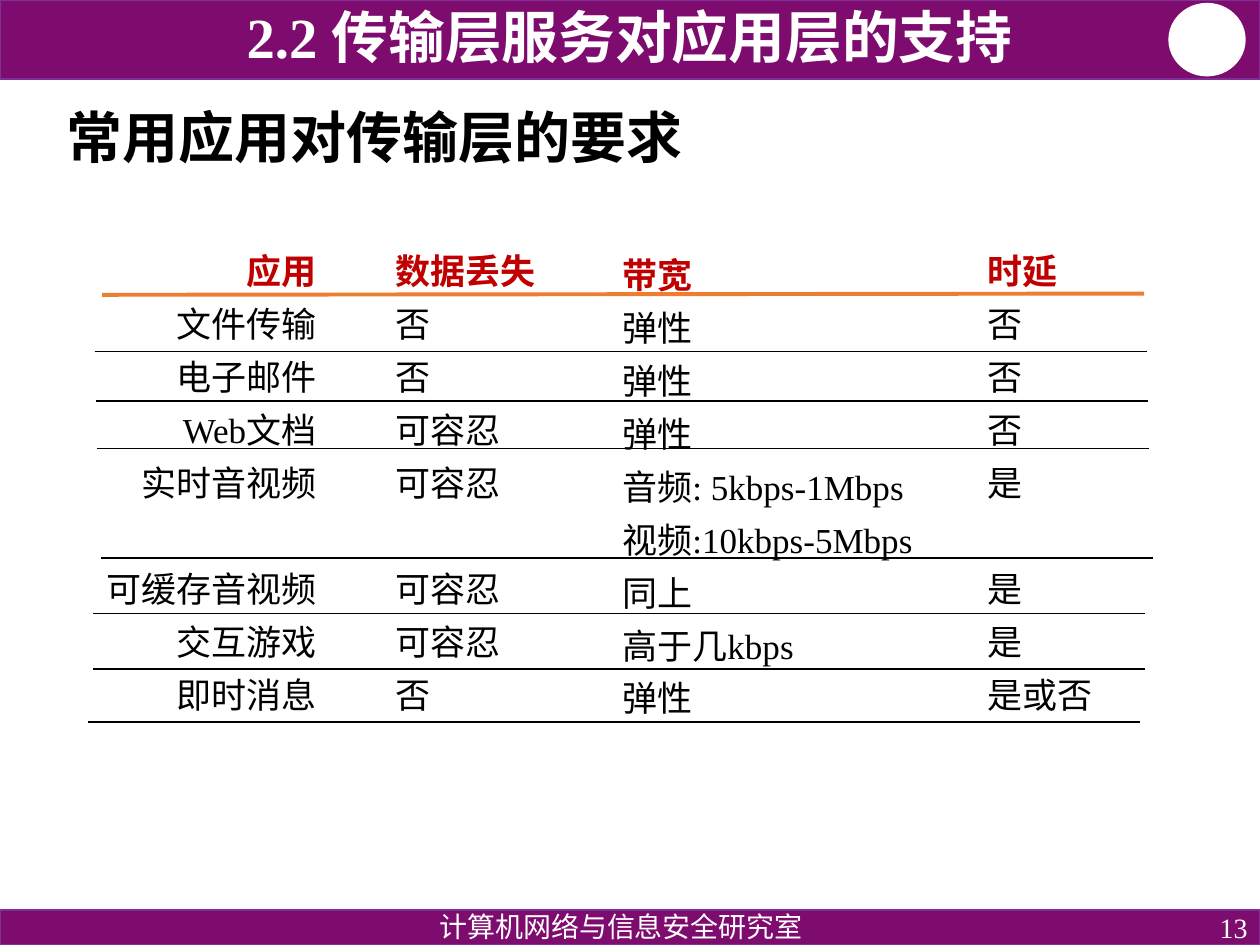
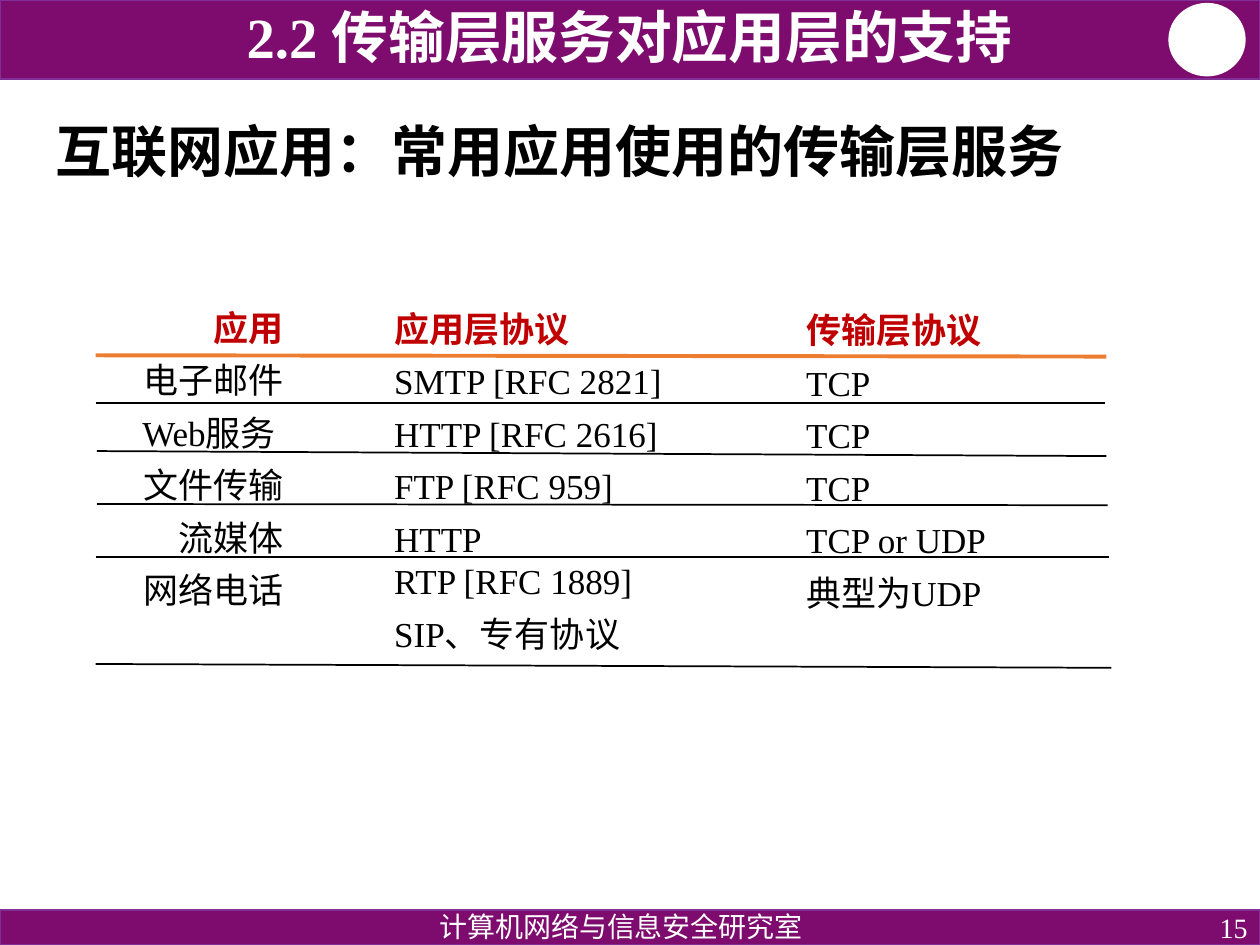
import pptx
import pptx.util
import pptx.dml.color
import pptx.enum.shapes
import pptx.enum.text
import pptx.oxml
import pptx.oxml.ns

Inches = pptx.util.Inches
Pt = pptx.util.Pt
RGB = pptx.dml.color.RGBColor
ALIGN = pptx.enum.text.PP_ALIGN
ANCHOR = pptx.enum.text.MSO_ANCHOR
SHAPE = pptx.enum.shapes.MSO_SHAPE
qn = pptx.oxml.ns.qn

PURPLE = RGB(0x7E, 0x0C, 0x6E)
VIOLET = RGB(0x7F, 0x2F, 0x95)
RED = RGB(0xC0, 0x00, 0x00)
ORANGE = RGB(0xED, 0x7D, 0x31)
BLACK = RGB(0x00, 0x00, 0x00)
WHITE = RGB(0xFF, 0xFF, 0xFF)

CJK = "Noto Sans CJK SC"
SERIF = "Times New Roman"
SANS = "Arial"

CHAPTER = "2.2 传输层服务对应用层的支持"
LAB = "计算机网络与信息安全研究室"
ROW_PITCH = 30.3


class Deck:
    def __init__(self):
        self.prs = pptx.Presentation()
        self.prs.slide_width = Inches(10)
        self.prs.slide_height = Inches(7.5)
        self.s = None

    def new_slide(self, number, title, title_box):
        self.s = self.prs.slides.add_slide(self.prs.slide_layouts[5])
        self.shape(SHAPE.RECTANGLE, (0, 0, 10, 0.63), PURPLE, VIOLET)
        self.shape(SHAPE.OVAL, (9.28, 0.03, 0.6, 0.57), WHITE, WHITE)
        self.shape(SHAPE.RECTANGLE, (0, 7.22, 10, 0.28), PURPLE, VIOLET)
        self.text((7.75, 7.22, 2.25, 0.28), str(number), 16, ALIGN.RIGHT, ANCHOR.MIDDLE)
        self.text((2.69, 7.2, 4.48, 0.28), LAB, 16, ALIGN.CENTER, ANCHOR.TOP, spacing=0.9)
        self.text((0.72, 0.04, 8.55, 0.56), CHAPTER, 32.4, ALIGN.CENTER, ANCHOR.BOTTOM,
                  spacing=0.8, bold=True)
        self.title(title, title_box)

    def style(self, p, font, size, color, bold=False):
        f = p.font
        f.name, f.size, f.bold = font, Pt(size), bold
        f.color.rgb = color
        latin = p._p.pPr.find(qn("a:defRPr")).find(qn("a:latin"))
        ea = pptx.oxml.parse_xml(
            f'<a:ea xmlns:a="{pptx.oxml.ns.nsuri("a")}" typeface="{CJK}"/>')
        latin.addnext(ea)

    def shape(self, kind, box, fill, line):
        sp = self.s.shapes.add_shape(kind, *map(Inches, box))
        sp.shadow.inherit = False
        sp.fill.solid()
        sp.fill.fore_color.rgb = fill
        sp.line.color.rgb = line
        sp.line.width = Pt(1)

    def text(self, box, text, size, align, anchor, spacing=1.0, bold=False):
        tf = self.s.shapes.add_textbox(*map(Inches, box)).text_frame
        tf.word_wrap = True
        tf.vertical_anchor = anchor
        p = tf.paragraphs[0]
        p.text = text
        p.alignment = align
        p.line_spacing = spacing
        self.style(p, SERIF, size, WHITE, bold)

    def title(self, text, box):
        sp = self.s.shapes.title
        sp.left, sp.top, sp.width, sp.height = map(Inches, box)
        tf = sp.text_frame
        tf.text = text
        tf.auto_size = pptx.enum.text.MSO_AUTO_SIZE.NONE
        tf.vertical_anchor = ANCHOR.MIDDLE
        p = tf.paragraphs[0]
        p.alignment = ALIGN.LEFT
        p.line_spacing = 0.9
        self.style(p, CJK, 32, BLACK, True)

    def column(self, box, rows, font=SERIF, align=ALIGN.LEFT, spacing=1.0, wrap=True,
               skip_before=None):
        tf = self.s.shapes.add_textbox(*map(Inches, box)).text_frame
        tf.word_wrap = wrap
        tf.auto_size = pptx.enum.text.MSO_AUTO_SIZE.SHAPE_TO_FIT_TEXT
        for i, row in enumerate(rows):
            p = tf.add_paragraph() if i else tf.paragraphs[0]
            p.text = row
            p.alignment = align
            p.line_spacing = spacing
            p.space_before = Pt(6 + (ROW_PITCH if i == skip_before else 0))
            if i:
                self.style(p, font, 20, BLACK)
            else:
                self.style(p, CJK, 20, RED, True)

    def rule(self, x1, y1, x2, y2, color=BLACK, width=1):
        c = self.s.shapes.add_connector(
            pptx.enum.shapes.MSO_CONNECTOR.STRAIGHT, *map(Inches, (x1, y1, x2, y2)))
        c.line.color.rgb = color
        c.line.width = Pt(width)
        c._element.spPr.append(pptx.oxml.parse_xml(
            f'<a:effectLst xmlns:a="{pptx.oxml.ns.nsuri("a")}"/>'))

    def rules(self, header, rows):
        self.rule(*header, color=ORANGE, width=2.25)
        for row in rows:
            self.rule(*row)


def requirements_slide(deck):
    deck.new_slide(13, "常用应用对传输层的要求", (0.43, 0.76, 8.94, 0.71))
    deck.column((0.73, 1.93, 1.88, 3.8),
                ["应用", "文件传输", "电子邮件", "Web文档", "实时音视频",
                 "可缓存音视频", "交互游戏", "即时消息"],
                align=ALIGN.RIGHT, spacing=1.01, wrap=False, skip_before=5)
    deck.column((3.04, 1.93, 1.33, 3.94),
                ["数据丢失", "否", "否", "可容忍", "可容忍", "可容忍", "可容忍", "否"],
                font=SANS, spacing=1.01, wrap=False, skip_before=5)
    deck.column((4.84, 1.96, 2.82, 3.93),
                ["带宽", "弹性", "弹性", "弹性", "音频: 5kbps-1Mbps",
                 "视频:10kbps-5Mbps", "同上", "高于几kbps", "弹性"], spacing=1.01)
    deck.column((7.74, 1.93, 1.34, 3.81),
                ["时延", "否", "否", "否", "是", "是", "是", "是或否"],
                font=SANS, spacing=1.01, skip_before=5)
    starts = [(0.75, 2.79), (0.76, 3.18), (0.77, 3.56), (0.8, 4.43),
              (0.74, 4.87), (0.74, 5.31), (0.7, 5.73)]
    deck.rules((0.81, 2.34, 9.08, 2.33), [(x, y, x + 8.35, y) for x, y in starts])


def services_slide(deck):
    deck.new_slide(15, "互联网应用：常用应用使用的传输层服务", (0.34, 0.91, 9.42, 0.63))
    deck.column((0.77, 2.38, 1.58, 2.93),
                ["应用", "电子邮件", "Web服务 ", "文件传输", "流媒体", "网络电话"],
                align=ALIGN.RIGHT)
    deck.column((3.03, 2.39, 2.34, 2.88),
                ["应用层协议", "SMTP [RFC 2821]", "HTTP [RFC 2616]", "FTP [RFC 959]",
                 "HTTP \nRTP [RFC 1889]", "SIP、专有协议"], wrap=False)
    deck.column((6.3, 2.4, 2.87, 2.54),
                ["传输层协议", "TCP", "TCP", "TCP", "TCP or UDP", "典型为UDP"])
    deck.rules((0.76, 2.82, 8.78, 2.83),
               [(0.76, 3.2, 8.77, 3.2), (0.77, 3.58, 8.78, 3.62), (0.77, 4, 8.79, 4.01),
                (0.76, 4.42, 8.8, 4.42), (0.76, 5.27, 8.82, 5.3)])


def main():
    deck = Deck()
    requirements_slide(deck)
    services_slide(deck)
    deck.prs.save("out.pptx")


if __name__ == "__main__":
    main()
